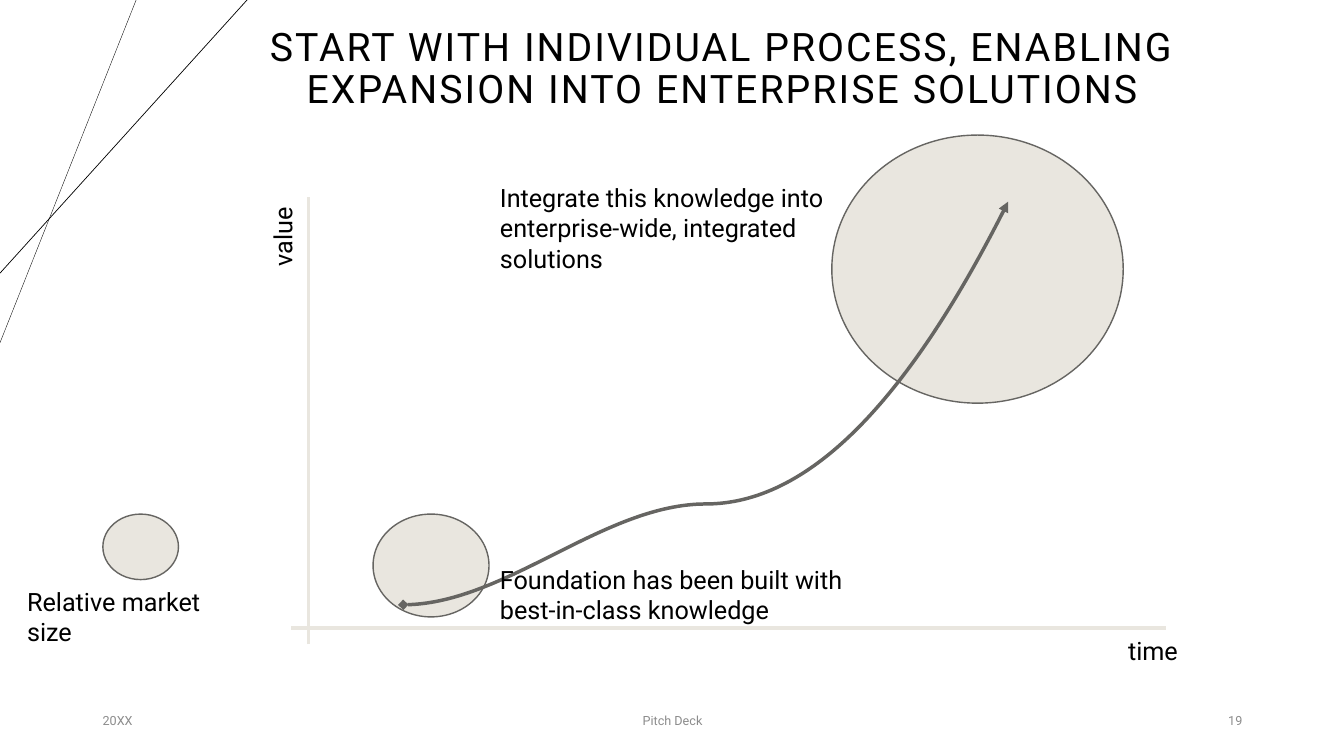
from pptx import Presentation
from pptx.dml.color import RGBColor
from pptx.enum.shapes import MSO_CONNECTOR, MSO_SHAPE
from pptx.enum.text import MSO_ANCHOR, PP_ALIGN
from pptx.oxml.ns import qn
from pptx.util import Inches, Pt
from lxml.etree import SubElement

THEME = {
    "font": "Roboto",
    "ink": "000000", "muted": "8C8C8C", "sand": "E9E6DF", "slate": "666562",
    "title": 28, "body": 18, "footer": 9,
}

TITLE = "START WITH INDIVIDUAL PROCESS, ENABLING EXPANSION INTO ENTERPRISE SOLUTIONS"
TITLE_AREA = (1.91, -0.03, 10.51, 1.45)

# text, (left, top, width, height), rotation
LABELS = [
    ("Foundation has been built with best-in-class knowledge", (4.86, 5.55, 3.81, 0.71), 0),
    ("Integrate this knowledge into enterprise-wide, integrated solutions",
     (4.86, 1.76, 3.81, 1.01), 0),
    ("Relative market size", (0.17, 5.77, 2.4, 0.4), 0),
    ("time", (11.09, 6.25, 0.94, 0.4), 0),
    ("value", (2.33, 2.07, 0.94, 0.4), 270),
]

# text, left, width, alignment
FOOTERS = [
    ("20XX", 0.92, 3, PP_ALIGN.LEFT),
    ("Pitch Deck", 4.42, 4.5, PP_ALIGN.CENTER),
    ("19", 9.42, 3, PP_ALIGN.RIGHT),
]
FOOTER_TOP, FOOTER_HEIGHT = 6.95, 0.4

START_MARKET = (3.7, 5.1, 1.15, 1.02)
ENTERPRISE_MARKET = (8.25, 1.34, 2.89, 2.66)
LEGEND_MARKET = (1.02, 5.1, 0.75, 0.65)

# start, end, colour, weight
CORNER_LINES = [
    ((1.35, 0), (0, 3.4), "ink", 0.25),
    ((2.45, 0), (0, 2.71), "ink", 0.5),
]
AXES = [
    ((2.89, 6.23), (11.56, 6.23), "sand", 2.75),
    ((3.06, 6.39), (3.06, 1.95), "sand", 2.75),
]

# start point, then two control points and an end point per curve
GROWTH_PATH = [
    (4.26, 5.68),
    (4.81, 5.62), (5.92, 5.49), (6.87, 5.01),
    (7.82, 4.52), (8.94, 3.81), (9.73, 2.45),
]


def color(name):
    return RGBColor.from_string(THEME[name])


def add_text(page, text, area, size, ink="ink", align=PP_ALIGN.LEFT, anchor=MSO_ANCHOR.TOP):
    box = page.shapes.add_textbox(*map(Inches, area))
    frame = box.text_frame
    frame.word_wrap = True
    frame.vertical_anchor = anchor
    para = frame.paragraphs[0]
    para.text = text
    para.alignment = align
    para.font.name = THEME["font"]
    para.font.size = Pt(THEME[size])
    para.font.color.rgb = color(ink)
    return box


def add_title(page):
    box = add_text(page, TITLE, TITLE_AREA, "title",
                   align=PP_ALIGN.CENTER, anchor=MSO_ANCHOR.MIDDLE)
    para = box.text_frame.paragraphs[0]
    para.line_spacing = 0.9
    para.runs[0].font._element.set("spc", "150")


def add_line(page, start, end, ink, weight):
    line = page.shapes.add_connector(MSO_CONNECTOR.STRAIGHT, *map(Inches, start + end))
    line.line.color.rgb = color(ink)
    line.line.width = Pt(weight)
    SubElement(line._element.spPr, qn("a:effectLst"))


def add_market(page, area):
    market = page.shapes.add_shape(MSO_SHAPE.OVAL, *map(Inches, area))
    market.shadow.inherit = False
    market.fill.solid()
    market.fill.fore_color.rgb = color("sand")
    market.line.color.rgb = color("slate")
    market.line.width = Pt(1)


def add_growth_arrow(page):
    """Draw the path as a polyline, then turn each three segments into one curve."""
    start, *points = GROWTH_PATH
    builder = page.shapes.build_freeform(*start, scale=Inches(1))
    builder.add_line_segments(points, close=False)
    arrow = builder.convert_to_shape()
    arrow.shadow.inherit = False
    arrow.fill.background()
    arrow.line.color.rgb = color("slate")
    arrow.line.width = Pt(2.5)

    outline = next(arrow._element.iter(qn("a:path")))
    segments = outline.findall(qn("a:lnTo"))
    for first in range(0, len(segments), 3):
        curve = SubElement(outline, qn("a:cubicBezTo"))
        for segment in segments[first:first + 3]:
            curve.append(segment[0])
            outline.remove(segment)

    stroke = arrow.line._get_or_add_ln()
    for end, kind in (("a:headEnd", "diamond"), ("a:tailEnd", "triangle")):
        SubElement(stroke, qn(end), type=kind)


def main():
    deck = Presentation()
    deck.slide_width, deck.slide_height = Inches(13.33), Inches(7.5)
    page = deck.slides.add_slide(deck.slide_layouts[6])

    for line in CORNER_LINES:
        add_line(page, *line)
    add_title(page)
    for text, left, width, align in FOOTERS:
        add_text(page, text, (left, FOOTER_TOP, width, FOOTER_HEIGHT), "footer",
                 "muted", align, MSO_ANCHOR.MIDDLE)

    for market in (START_MARKET, ENTERPRISE_MARKET, LEGEND_MARKET):
        add_market(page, market)
    add_growth_arrow(page)
    for axis in AXES:
        add_line(page, *axis)
    for text, area, rotation in LABELS:
        add_text(page, text, area, "body").rotation = rotation

    deck.save("out.pptx")


if __name__ == "__main__":
    main()
